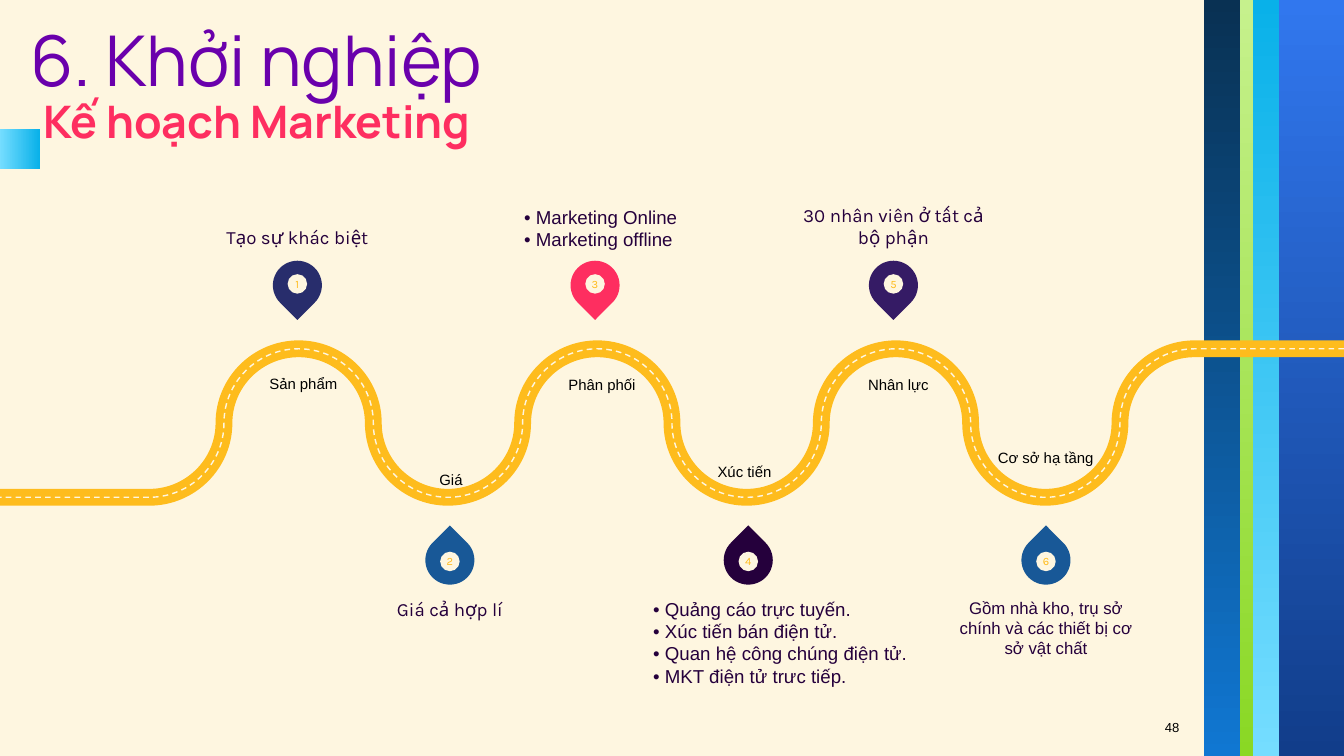
from dataclasses import dataclass
from typing import Optional

from lxml import etree
from pptx import Presentation
from pptx import util as u
from pptx.dml import color
from pptx.enum import dml, shapes, text

PX = u.Inches(1) // 100
WIDTH, HEIGHT = 2000, 1125
ROAD_TOP, ROAD_BOTTOM = 519, 740
ROAD_UNIT = WIDTH / 18
BENDS = 14
ARC = 0.55

COLORS = {
    "cream": "FEF6E0", "yellow": "FEBC1D", "black": "000000",
    "plum": "25003C", "violet": "6A00AC", "pink": "FE2E60",
    "indigo": "282D6C", "purple": "351B65", "blue": "185897",
    "royal": "3177EE", "navy": "113D8A", "sky": "75DDFF", "cyan": "09B1E9",
    "lime": "C6F18D", "green": "8AD824", "azure": "1077D2", "midnight": "093153",
}
ALIGN = text.PP_ALIGN
ANCHOR = text.MSO_ANCHOR


@dataclass(frozen=True)
class Band:
    left: int
    top: int
    width: int
    height: int
    start: str
    end: str
    turn: int = 0


@dataclass(frozen=True)
class Pin:
    number: int
    left: int
    above: bool
    fill: str


@dataclass(frozen=True)
class Label:
    left: int
    top: int
    width: int
    height: int
    lines: tuple[str, ...]
    size: int = 20
    font: str = "Arial"
    fill: str = "plum"
    align: ALIGN = ALIGN.LEFT
    anchor: ANCHOR = ANCHOR.TOP
    inset: Optional[int] = 0
    spacing: Optional[float] = None
    bold: bool = False
    wrap: bool = True
    grow: bool = False


def street_name(left: int, top: int, width: int, name: str) -> Label:
    """A one-line caption beside a bend of the road."""
    return Label(left, top, width, 37, (name,), size=16, fill="black",
                 inset=None, wrap=False, grow=True)


BANDS = [
    Band(1902, 0, 98, HEIGHT, "royal", "navy"),
    Band(1864, 0, 40, HEIGHT, "sky", "cyan", 180),
    Band(1845, 0, 20, HEIGHT, "lime", "green"),
    Band(1791, 0, 54, HEIGHT, "azure", "midnight", 180),
    Band(0, 192, 59, 59, "sky", "cyan", 270),
]
PINS = [
    Pin(1, 406, True, "indigo"),
    Pin(2, 633, False, "blue"),
    Pin(3, 849, True, "pink"),
    Pin(4, 1077, False, "plum"),
    Pin(5, 1293, True, "purple"),
    Pin(6, 1520, False, "blue"),
]
LABELS = [
    Label(1655, 1039, 120, 86, ("48",), size=14, fill="black",
          align=ALIGN.RIGHT, anchor=ANCHOR.MIDDLE, inset=20),
    Label(302, 253, 281, 117, ("Tạo sự khác biệt",), font="Karla",
          align=ALIGN.CENTER, anchor=ANCHOR.BOTTOM),
    Label(780, 256, 281, 117, ("• Marketing Online", "• Marketing offline"),
          anchor=ANCHOR.BOTTOM),
    Label(1189, 253, 281, 117, ("30 nhân viên ở tất cả bộ phận",), font="Karla",
          align=ALIGN.CENTER, anchor=ANCHOR.BOTTOM),
    Label(529, 889, 281, 117, ("Giá cả hợp lí",), font="Karla", align=ALIGN.CENTER),
    Label(972, 889, 409, 117, ("• Quảng cáo trực tuyến.", "• Xúc tiến bán điện tử.",
                               "• Quan hệ công chúng điện tử.",
                               "• MKT điện tử trưc tiếp.")),
    Label(1416, 889, 281, 117,
          ("Gồm nhà kho, trụ sở chính và các thiết bị cơ sở vật chất",),
          size=18, align=ALIGN.CENTER),
    Label(45, 0, 842, 151, ("6. Khởi nghiệp",), size=75, font="Manrope",
          fill="violet", spacing=1.2, grow=True),
    Label(64, 116, 1082, 105, ("Kế hoạch Marketing",), size=48, font="Manrope",
          fill="pink", spacing=1.3, bold=True, grow=True),
    street_name(391, 553, 122, "Sản phẩm"),
    street_name(644, 696, 55, "Giá"),
    street_name(836, 554, 121, "Phân phối"),
    street_name(1058, 684, 101, "Xúc tiến"),
    street_name(1282, 554, 111, "Nhân lực"),
    street_name(1475, 663, 164, "Cơ sở hạ tầng"),
]


def rgb(name: str) -> color.RGBColor:
    return color.RGBColor.from_string(COLORS[name])


def add_plain(parent, kind, left: int, top: int, width: int, height: int):
    """Add a preset shape without outline or shadow."""
    shape = parent.add_shape(kind, *(n * PX for n in (left, top, width, height)))
    shape.shadow.inherit = False
    shape.line.fill.background()
    return shape


def paint(shape, name: str) -> None:
    shape.fill.solid()
    shape.fill.fore_color.rgb = rgb(name)


def style(para, label: Label) -> None:
    para.alignment = label.align
    if label.spacing:
        para.line_spacing = label.spacing
    para.font.size = u.Pt(label.size)
    para.font.name = label.font
    para.font.bold = label.bold
    para.font.color.rgb = rgb(label.fill)


def fill_frame(frame, label: Label) -> None:
    frame.word_wrap = label.wrap
    frame.vertical_anchor = label.anchor
    if label.grow:
        frame.auto_size = text.MSO_AUTO_SIZE.SHAPE_TO_FIT_TEXT
    if label.inset is not None:
        frame.margin_left = frame.margin_right = label.inset * PX
        frame.margin_top = frame.margin_bottom = label.inset * PX
    for index, line in enumerate(label.lines):
        para = frame.add_paragraph() if index else frame.paragraphs[0]
        para.add_run().text = line
        style(para, label)


def draw_band(page, band: Band) -> None:
    shape = add_plain(page.shapes, shapes.MSO_SHAPE.RECTANGLE,
                      band.left, band.top, band.width, band.height)
    shape.rotation = band.turn
    shape.fill.gradient()
    shape.fill.gradient_angle = 270
    for stop, name in zip(shape.fill.gradient_stops, (band.start, band.end)):
        stop.color.rgb = rgb(name)


def road_points() -> list[tuple[float, float]]:
    """Three Bezier points for each quarter bend, from right to left."""
    middle = (ROAD_TOP + ROAD_BOTTOM) / 2
    levels = (ROAD_TOP, middle, ROAD_BOTTOM, middle)
    points = []
    for bend in range(BENDS):
        x0 = WIDTH - (bend + 2) * ROAD_UNIT
        x1 = x0 - ROAD_UNIT
        y0, y1 = levels[bend % 4], levels[(bend + 1) % 4]
        dx, dy = ARC * (x1 - x0), ARC * (y1 - y0)
        if bend % 2:
            points += [(x0, y0 + dy), (x1 - dx, y1), (x1, y1)]
        else:
            points += [(x0 + dx, y0), (x1, y1 - dy), (x1, y1)]
    return points


def draw_road(page, name: str, width: float, dash=None) -> None:
    points = [(WIDTH - 2 * ROAD_UNIT, ROAD_TOP), *road_points(), (0, ROAD_BOTTOM)]
    builder = page.shapes.build_freeform(WIDTH * PX, ROAD_TOP * PX)
    builder.add_line_segments([(x * PX, y * PX) for x, y in points], close=False)
    road = builder.convert_to_shape()
    road.shadow.inherit = False
    road.fill.background()
    road.line.color.rgb = rgb(name)
    road.line.width = u.Pt(width)
    road.line.dash_style = dash

    # The builder makes straight segments; join each three into one curve.
    segments = road.element.xpath(".//a:path/a:lnTo")[1:-1]
    for first, second, third in zip(*[iter(segments)] * 3):
        curve = etree.Element(first.tag.replace("lnTo", "cubicBezTo"))
        first.addprevious(curve)
        for segment in (first, second, third):
            curve.append(segment[0])
            segment.getparent().remove(segment)


def draw_pin(page, pin: Pin) -> None:
    group = page.shapes.add_group_shape()
    top, drop, turn = (388, 20, 135) if pin.above else (797, 24, 315)
    marker = add_plain(group.shapes, shapes.MSO_SHAPE.TEAR, pin.left, top, 73, 73)
    marker.rotation = turn
    paint(marker, pin.fill)
    label = Label(pin.left + 22, top + drop, 29, 29, (str(pin.number),), size=12,
                  font="Karla", fill="yellow", align=ALIGN.CENTER, anchor=ANCHOR.MIDDLE)
    hole = add_plain(group.shapes, shapes.MSO_SHAPE.OVAL,
                     label.left, label.top, label.width, label.height)
    paint(hole, "cream")
    fill_frame(hole.text_frame, label)


def draw_label(page, label: Label) -> None:
    box = page.shapes.add_textbox(label.left * PX, label.top * PX,
                                  label.width * PX, label.height * PX)
    fill_frame(box.text_frame, label)


def main() -> None:
    deck = Presentation()
    deck.slide_width, deck.slide_height = WIDTH * PX, HEIGHT * PX
    page = deck.slides.add_slide(deck.slide_layouts[6])
    paint(page.background, "cream")
    for band in BANDS:
        draw_band(page, band)
    draw_road(page, "yellow", 18)
    draw_road(page, "cream", 1.5, dml.MSO_LINE.DASH)
    for pin in PINS:
        draw_pin(page, pin)
    for label in LABELS:
        draw_label(page, label)
    deck.save("out.pptx")


if __name__ == "__main__":
    main()
